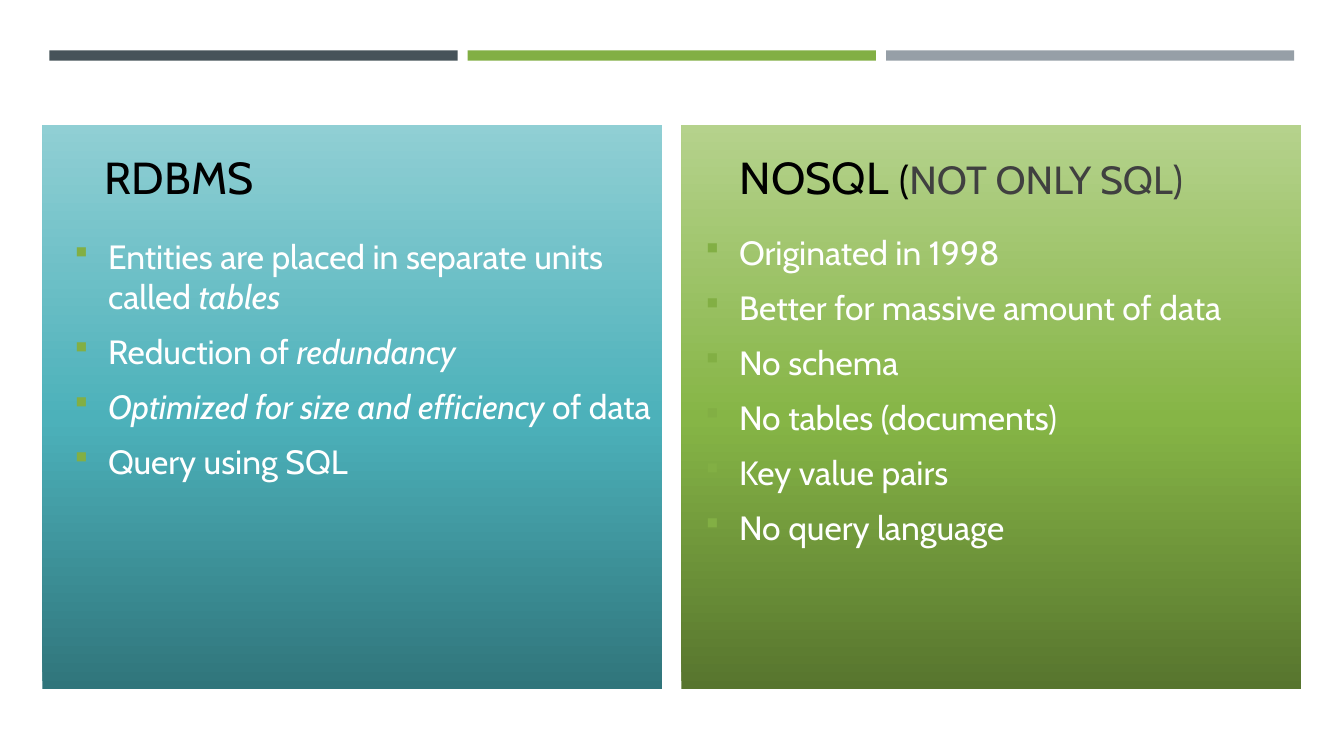
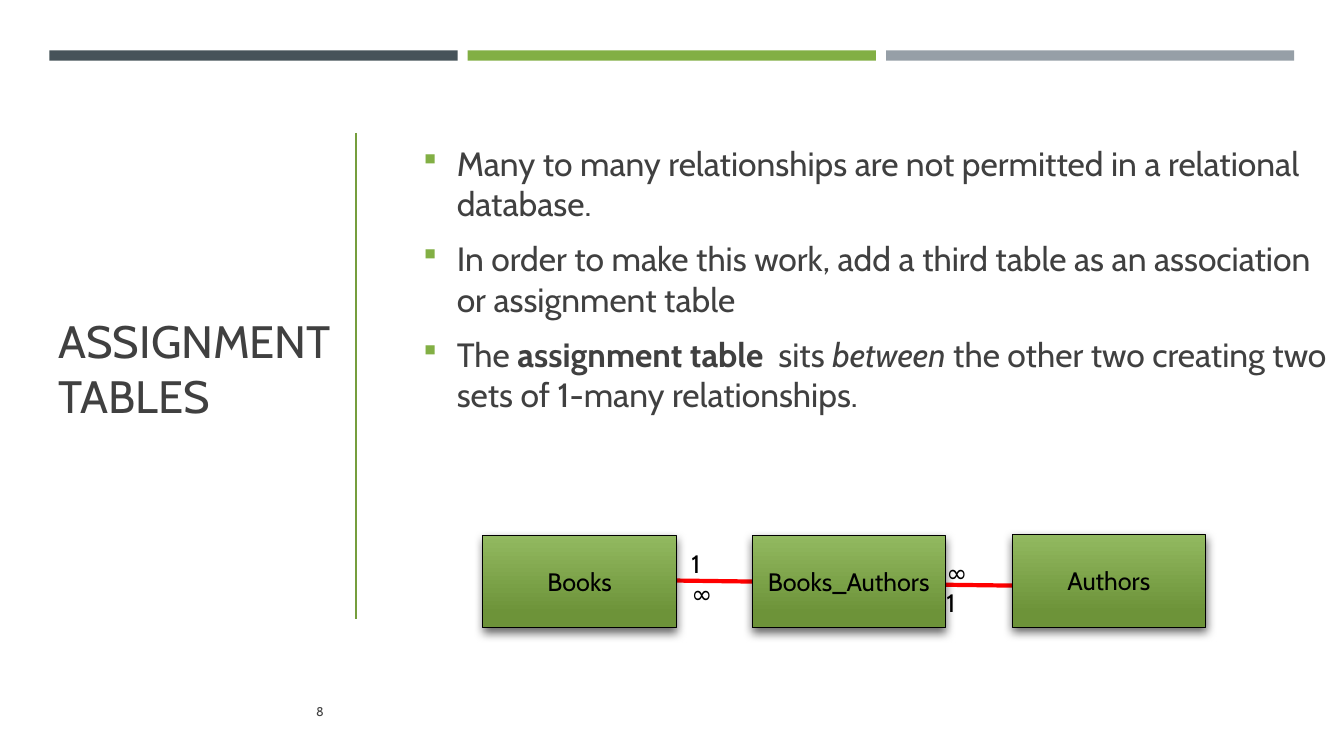
from dataclasses import dataclass

from lxml import etree
from pptx import Presentation
from pptx.dml.color import RGBColor
from pptx.enum import shapes, text
from pptx.oxml import ns
from pptx.util import Pt

# Content: a paragraph is a list of (text, format) runs
ITALIC, BOLD = {"italic": True}, {"bold": True}

COMPARISON_TITLE = [
    ("RDBMS\tNOSQL ", {"color": "000000"}),
    ("(", {"color": "000000", "size": 28}),
    ("NOT ONLY SQL)", {"size": 28}),
]
RDBMS_POINTS = [
    [("Entities are placed in separate units called ", {}), ("tables", ITALIC)],
    [("Reduction of ", {}), ("redundancy", ITALIC)],
    [("Optimized for size and efficiency", ITALIC), (" of data", {})],
    [("Query using SQL", {})],
]
NOSQL_POINTS = [[(point, {})] for point in (
    "Originated in 1998",
    "Better for massive amount of data",
    "No schema",
    "No tables (documents)",
    "Key value pairs",
    "No query language",
)]
ASSIGNMENT_TITLE = [("ASSIGNMENT\vTABLES", {})]
ASSIGNMENT_POINTS = [
    [("Many to many relationships are not permitted in a relational database.", {})],
    [("In order to make this work, add a third table as an association or assignment table", {})],
    [("The ", {}), ("assignment table", BOLD), ("  sits ", {}), ("between", ITALIC),
     (" the other two creating two sets of 1-many relationships.", {})],
]
# Entity name, left, top
ENTITIES = [("Books", 344.9, 382.3), ("Books_Authors", 537.1, 382.3), ("Authors", 722.9, 381.6)]
# Start and end of each relationship line
RELATIONSHIPS = [(483.1, 414.7, 537.1, 415.4), (668.9, 417.6, 722.9, 418.3)]
# Upper sign, lower sign, left, top
MULTIPLICITIES = [("∞", "1", 668.9, 394.6), ("1", "∞", 486.7, 388.1)]
PAGE_NUMBER = "8"


@dataclass(frozen=True)
class Theme:
    """Colours and type sizes of the deck."""
    font: str = "Cabin"
    ink: str = "404040"
    black: str = "000000"
    white: str = "FFFFFF"
    accent: str = "82AF44"
    divider: str = "759E3D"
    relationship: str = "FF0000"
    bands: tuple = ("465359", "82AF44", "969FA7")
    teal: tuple = ((0, "30757B"), (48, "4CB1BA"), (100, "90CFD4"))
    green: tuple = ((0, "57752E"), (48, "86B546"), (100, "B5D28C"))
    entity: tuple = ((0, "92B960"), (84, "6D9339"))
    title_size: float = 32
    body_size: float = 24
    label_size: float = 18
    number_size: float = 9


THEME = Theme()


def add_xml(parent, tag, **attributes):
    """Append a drawing element and return it."""
    return etree.SubElement(parent, ns.qn("a:" + tag), attributes)


def write(shape, paragraphs, size, color=THEME.ink, align=text.PP_ALIGN.LEFT,
          anchor=text.MSO_ANCHOR.TOP, wrap=True, bullets=False):
    """Fill a shape with paragraphs of formatted runs."""
    frame = shape.text_frame
    frame.word_wrap = wrap
    frame.auto_size = text.MSO_AUTO_SIZE.NONE
    frame.vertical_anchor = anchor
    for index, runs in enumerate(paragraphs):
        paragraph = frame.paragraphs[0] if index == 0 else frame.add_paragraph()
        paragraph.alignment = align
        if bullets:
            add_bullet(paragraph)
        for content, style in runs:
            for part_index, part in enumerate(content.split("\v")):
                if part_index:
                    paragraph.add_line_break()
                run = paragraph.add_run()
                run.text = part
                font = run.font
                font.name = THEME.font
                font.size = Pt(style.get("size", size))
                font.bold = style.get("bold", False)
                font.italic = style.get("italic", False)
                font.color.rgb = RGBColor.from_string(style.get("color", color))


def add_bullet(paragraph):
    """Give a paragraph a square bullet, a hanging indent and spacing."""
    paragraph.space_before = Pt(4.5)
    paragraph.space_after = Pt(6)
    properties = paragraph._p.get_or_add_pPr()
    properties.set("marL", str(Pt(24)))
    properties.set("indent", str(Pt(-24)))
    add_xml(add_xml(properties, "buClr"), "srgbClr", val=THEME.accent)
    add_xml(properties, "buSzPct", val="92000")
    add_xml(properties, "buFont", typeface="Wingdings")
    add_xml(properties, "buChar", char="§")


def add_text(slide, box, paragraphs, size, **style):
    """Add a text box with the given left, top, width and height."""
    shape = slide.shapes.add_textbox(*map(Pt, box))
    write(shape, paragraphs, size, **style)


def add_title(slide, box, runs, size=THEME.title_size):
    """Place the title placeholder in front and write it."""
    title = slide.shapes.title
    title.left, title.top, title.width, title.height = map(Pt, box)
    write(title, [runs], size, anchor=text.MSO_ANCHOR.BOTTOM)
    slide.shapes._spTree.append(title._element)
    return title


def add_rectangle(slide, box, color=None, gradient=(), angle=0):
    """Add a rectangle with a plain or gradient fill and no line."""
    shape = slide.shapes.add_shape(shapes.MSO_SHAPE.RECTANGLE, *map(Pt, box))
    shape.shadow.inherit = False
    shape.line.fill.background()
    if color:
        shape.fill.solid()
        shape.fill.fore_color.rgb = RGBColor.from_string(color)
    else:
        shape.fill.gradient()
        fill = shape._element.spPr.find(ns.qn("a:gradFill"))
        for child in list(fill):
            fill.remove(child)
        stops = add_xml(fill, "gsLst")
        for position, stop_color in gradient:
            stop = add_xml(stops, "gs", pos=str(position * 1000))
            add_xml(stop, "srgbClr", val=stop_color)
        add_xml(fill, "lin", ang=str(angle * 60000), scaled="0")
    return shape


def add_line(slide, ends, color, width):
    """Add a straight line without a shadow."""
    line = slide.shapes.add_connector(shapes.MSO_CONNECTOR.STRAIGHT, *map(Pt, ends))
    line.line.color.rgb = RGBColor.from_string(color)
    line.line.width = Pt(width)
    add_xml(line._element.spPr, "effectLst")


def add_entity(slide, name, left, top):
    """Add an outlined, shadowed box for a database table."""
    box = add_rectangle(slide, (left, top, 138.2, 66.2), gradient=THEME.entity, angle=90)
    box.line.color.rgb = RGBColor.from_string(THEME.black)
    box.line.width = Pt(0.5)
    effects = box._element.spPr.find(ns.qn("a:effectLst"))
    shadow = add_xml(effects, "outerShdw", blurRad=str(Pt(7)), dist=str(Pt(3)),
                     dir=str(84 * 60000), rotWithShape="0")
    add_xml(add_xml(shadow, "srgbClr", val=THEME.black), "alpha", val="60000")
    write(box, [[(name, {})]], THEME.label_size, color=THEME.black,
          align=text.PP_ALIGN.CENTER, anchor=text.MSO_ANCHOR.MIDDLE, wrap=False)


def move_bands_to_layout(slide, layout):
    """Draw the three top bands once, on the shared layout."""
    for placeholder in list(layout.placeholders):
        if placeholder.placeholder_format.type != shapes.PP_PLACEHOLDER.TITLE:
            placeholder._element.getparent().remove(placeholder._element)
    bands = [add_rectangle(slide, (35.3 + 298.8 * index, 36, 291.6, 7.4), color=color)
             for index, color in enumerate(THEME.bands)]
    for band in bands:
        layout.shapes._spTree.append(band._element)


def build_comparison(slide):
    """Compare relational and NoSQL databases in two panels."""
    for left, gradient in ((486.7, THEME.green), (30.2, THEME.teal)):
        add_rectangle(slide, (left, 89.3, 442.8, 403.2), gradient=gradient, angle=270)
    title = add_title(slide, (67.7, 55.4, 840, 93.6), COMPARISON_TITLE)
    properties = title.text_frame.paragraphs[0]._p.get_or_add_pPr()
    add_xml(add_xml(properties, "tabLst"), "tab", pos=str(Pt(453.6)), algn="l")
    for box, points in (((46.1, 164.9, 434.2, 285.8), RDBMS_POINTS),
                        ((496.8, 162, 411.8, 285.8), NOSQL_POINTS)):
        add_text(slide, box, points, THEME.body_size, color=THEME.white, bullets=True)


def build_assignment(slide):
    """Explain assignment tables beside a small entity diagram."""
    add_title(slide, (34.6, 211.7, 216, 93.6), ASSIGNMENT_TITLE, size=32.4)
    add_text(slide, (295.2, 98.6, 660.2, 303.1), ASSIGNMENT_POINTS,
             THEME.body_size, bullets=True)
    for ends in RELATIONSHIPS:
        add_line(slide, ends, THEME.relationship, 3)
    for entity in ENTITIES:
        add_entity(slide, *entity)
    for upper, lower, left, top in MULTIPLICITIES:
        add_text(slide, (left, top, 54, 50.4), [[(upper, {})], [(lower, {})]],
                 THEME.label_size, color=THEME.black)
    add_text(slide, (22.3, 493.9, 216, 28.8), [[(PAGE_NUMBER, {})]], THEME.number_size,
             align=text.PP_ALIGN.RIGHT, anchor=text.MSO_ANCHOR.MIDDLE)
    add_line(slide, (254.2, 95, 254.2, 442.1), THEME.divider, 1)


def main():
    """Build and save the presentation."""
    presentation = Presentation()
    presentation.slide_width, presentation.slide_height = Pt(960), Pt(540)
    layout = presentation.slide_layouts.get_by_name("Title Only")
    for index, build in enumerate((build_comparison, build_assignment)):
        slide = presentation.slides.add_slide(layout)
        if index == 0:
            move_bands_to_layout(slide, layout)
        build(slide)
    presentation.save("out.pptx")


main()
